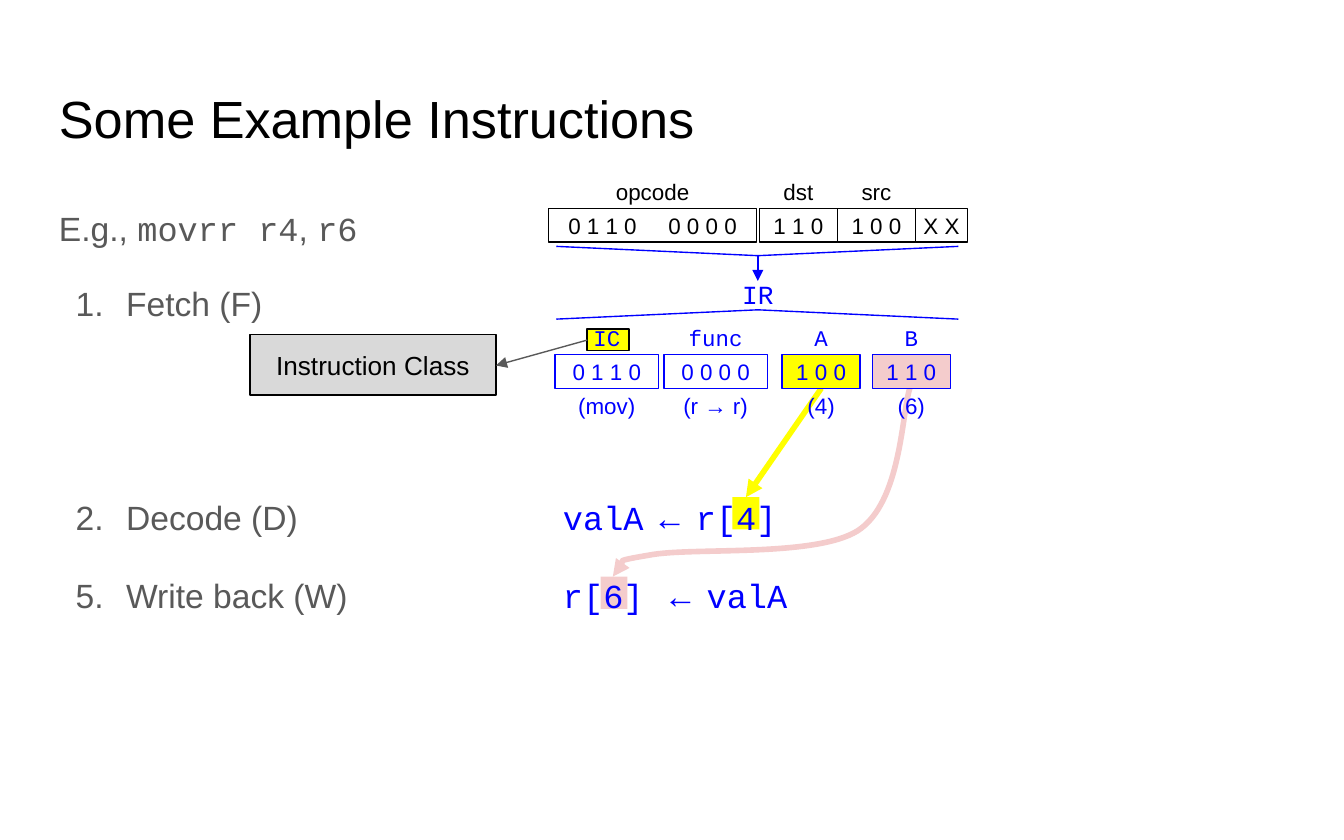
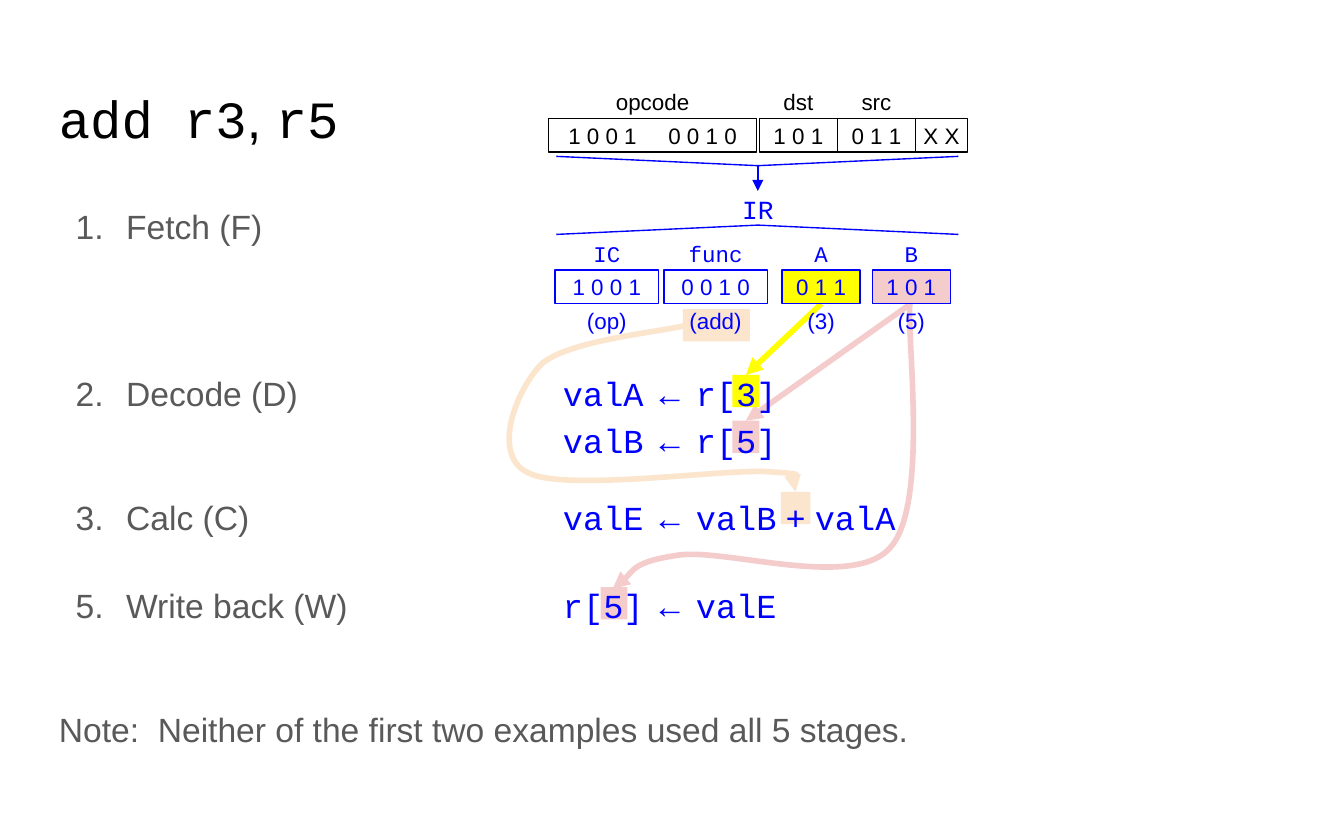
from lxml import etree
from pptx import Presentation
from pptx.dml.color import RGBColor
from pptx.enum.shapes import MSO_CONNECTOR, MSO_SHAPE
from pptx.enum.text import MSO_ANCHOR, PP_ALIGN
from pptx.oxml.ns import qn
from pptx.util import Pt

RECT = MSO_SHAPE.RECTANGLE
STRAIGHT = MSO_CONNECTOR.STRAIGHT
CENTER, LEFT = PP_ALIGN.CENTER, PP_ALIGN.LEFT
MIDDLE, TOP = MSO_ANCHOR.MIDDLE, MSO_ANCHOR.TOP
rgb = RGBColor.from_string

BLACK, GRAY, BLUE = "000000", "595959", "0000FF"
YELLOW, PINK, PEACH, SILVER = "FFFF00", "F4CCCC", "FCE5CD", "D9D9D9"
SANS, MONO = "Arial", "Courier New"

CELL_H = 18
BODY_H = 45.4
MARK_H = 17.3
LEFT_X, LEFT_W = 24.5, 671
RIGHT_X, RIGHT_W = 294.5, 365.8
CENTER_X = 406
TITLE = dict(size=28, color=BLACK, align=LEFT, anchor=TOP, inset=7.2)
BODY = dict(size=18, color=GRAY, align=LEFT, anchor=TOP, inset=7.2, spacing=1.15, after=16)
CODE = {**BODY, "color": BLUE}


def box(s, x, y, w, h, text="", fill=None, line=None, size=12, color=BLUE, align=CENTER,
        anchor=MIDDLE, inset=0, spacing=None, after=None, number=None):
    """Add a rectangle or text box; parts of text between backticks are monospaced."""
    frame = [Pt(v) for v in (x, y, w, h)]
    if fill or line:
        sp = s.shapes.add_shape(RECT, *frame)
        sp.shadow.inherit = False
        if fill:
            sp.fill.solid()
            sp.fill.fore_color.rgb = rgb(fill)
        else:
            sp.fill.background()
        if line:
            sp.line.color.rgb = rgb(line)
            sp.line.width = Pt(0.75)
        else:
            sp.line.fill.background()
    else:
        sp = s.shapes.add_textbox(*frame)
    if not text:
        return
    tf = sp.text_frame
    tf.word_wrap = True
    tf.vertical_anchor = anchor
    for side in ("left", "right", "top", "bottom"):
        setattr(tf, f"margin_{side}", Pt(inset))
    p = tf.paragraphs[0]
    p.alignment = align
    if spacing:
        p.line_spacing = spacing
        p.space_after = Pt(after)
    if number:
        pPr = p._p.get_or_add_pPr()
        pPr.set("marL", str(Pt(36)))
        pPr.set("indent", str(-Pt(27)))
        clr = etree.SubElement(pPr, qn("a:buClr"))
        etree.SubElement(clr, qn("a:srgbClr"), val=color)
        etree.SubElement(pPr, qn("a:buAutoNum"), type="arabicPeriod", startAt=str(number))
    for i, part in enumerate(text.split("`")):
        if part:
            r = p.add_run()
            r.text = part
            for name, value in dict(name=MONO if i % 2 else SANS, size=Pt(size)).items():
                setattr(r.font, name, value)
            r.font.color.rgb = rgb(color)


def stroke(s, points, color, width=0.75, arrow=True):
    """Two points make a connector, three a polyline, more a chain of Bezier curves."""
    pts = [(Pt(x), Pt(y)) for x, y in points]
    if len(pts) == 2:
        sp = s.shapes.add_connector(STRAIGHT, *pts[0], *pts[1])
        etree.SubElement(sp._element.spPr, qn("a:effectLst"))
    else:
        fb = s.shapes.build_freeform(*pts[0])
        fb.add_line_segments(pts[1:], close=False)
        sp = fb.convert_to_shape()
        sp.shadow.inherit = False
        sp.fill.background()
    if len(pts) > 3:
        segments = list(sp._element.iter(qn("a:lnTo")))
        outline = segments[0].getparent()
        for i in range(0, len(segments), 3):
            curve = etree.SubElement(outline, qn("a:cubicBezTo"))
            for seg in segments[i:i + 3]:
                curve.append(seg[0])
                outline.remove(seg)
    sp.line.color.rgb = rgb(color)
    sp.line.width = Pt(width)
    if arrow:
        etree.SubElement(sp.line._get_or_add_ln(), qn("a:tailEnd"), type="triangle")


slides = [
    dict(
        title="Some Example Instructions",
        word_y=111.6, nibbles=("0110", "0000"), dst="110", src="100",
        field_y=190, notes=("(mov)", "(r → r)", "(4)", "(6)"),
        paragraphs=[("E.g., `movrr r4`, `r6`", 100.8)],
        steps=[(1, "Fetch (F)", 141.1), (2, "Decode (D)", 255.6), (5, "Write back (W)", 297.4)],
        code=[("`valA` ← `r[4]`", 255.6), ("`r[6] `← `valA`", 297.4)],
        arrows=[
            (PINK, [(487.4, 208), (483, 221), (483, 269.3), (459.4, 284.4), (436.3, 298.8),
                    (370, 293), (347.8, 297.4), (326.2, 301), (331.2, 307.4), (328.3, 308.9)]),
            (YELLOW, [(440, 208), (399.6, 266.4)]),
        ],
        marks=[(YELLOW, 392.4, 266.4, 14.4), (PINK, 321.8, 308.9, 14.4)],
    ),
    dict(
        title="`add r3`, `r5`",
        word_y=63.4, nibbles=("1001", "0010"), dst="101", src="011",
        field_y=144.6, notes=("(op)", "(add)", "(3)", "(5)"),
        paragraphs=[("Note:  Neither of the first two examples used all 5 stages.", 369.4)],
        steps=[(1, "Fetch (F)", 100), (2, "Decode (D)", 189.4), (3, "Calc (C)", 255.6),
               (5, "Write back (W)", 303.1)],
        code=[("`valA` ← `r[3]`", 189.4), ("`valB` ← `r[5]`", 214.6),
              ("`valE` ← `valB` + `valA`", 255.6), ("`r[5]` ← `valE`", 303.1)],
        arrows=[
            (PINK, [(488, 162.7), (399.6, 225.4)]),
            (PEACH, [(368, 174.2), (355, 177.8), (304.6, 182.2), (290.2, 195), (276.5, 208.8),
                     (262.8, 244), (283, 253.4), (303, 263.5), (387.4, 251.3), (411, 252.7),
                     (435, 254.2), (423.4, 261.4), (426.2, 263.5)]),
            (PINK, [(487.4, 162.7), (486, 184.3), (497.5, 271.4), (476.6, 293.8), (456.5, 316),
                    (388.8, 293.8), (363.6, 297.4), (339, 301), (334, 312.5), (328.3, 315.4)]),
            (YELLOW, [(440, 162.7), (399.6, 200.9)]),
        ],
        marks=[(YELLOW, 392.4, 200.9, 14.4), (PINK, 392.4, 225.4, 14.4),
               (PEACH, 365.8, 165.6, 36), (PEACH, 418.3, 263.5, 15.8),
               (PINK, 321.8, 314.6, 14.4)],
    ),
]

prs = Presentation()
prs.slide_width, prs.slide_height = Pt(720), Pt(450)

for d in slides:
    s = prs.slides.add_slide(prs.slide_layouts[6])
    word_y, field_y = d["word_y"], d["field_y"]

    for color, points in d["arrows"]:
        stroke(s, points, color, width=3)
    for color, x, y, w in d["marks"]:
        box(s, x, y, w, MARK_H, fill=color)
    if d is slides[0]:
        box(s, 314.6, 176.2, 22.5, 11.6, fill=YELLOW, line=BLACK)
        box(s, 133.9, 179.3, 131.8, 32.4, "Instruction Class", fill=SILVER, line=BLACK,
            size=14, color=BLACK)
        stroke(s, [(314.6, 182.2), (265.7, 195.8)], GRAY)

    # Instruction word in memory
    for label, bits, x, w in [("opcode", "", 293.8, 111.6), ("dst", d["dst"], 406.8, 41.8),
                              ("src", d["src"], 448.6, 41.8), ("", "XX", 490.4, 28)]:
        if label:
            box(s, x, word_y - CELL_H, w, CELL_H, label, color=BLACK)
        box(s, x, word_y, w, CELL_H, " ".join(bits), line=BLACK, color=BLACK)
    for i, bits in enumerate(d["nibbles"]):
        box(s, 296 + i * 53.6, word_y, 53.6, CELL_H, " ".join(bits), color=BLACK)

    # Brackets down to the instruction register and its fields
    for tip_y, end_y in [(word_y + 25.4, word_y + 20.4), (field_y - 24, field_y - 19)]:
        stroke(s, [(298, end_y), (CENTER_X, tip_y), (513.4, end_y)], BLUE, arrow=False)
    stroke(s, [(CENTER_X, word_y + 25.7), (CENTER_X, word_y + 38.9)], BLUE)
    box(s, 388, field_y - 48.2, 36, 28, "`IR`", size=14, anchor=TOP, inset=7.2)

    fields = [("IC", d["nibbles"][0], 297.4, 55.4, None),
              ("func", d["nibbles"][1], 355.7, 55.4, None),
              ("A", d["src"], 419, 41.8, YELLOW),
              ("B", d["dst"], 467.3, 41.8, PINK)]
    for (label, bits, x, w, fill), note in zip(fields, d["notes"]):
        box(s, x, field_y - CELL_H, w, CELL_H, f"`{label}`")
        box(s, x, field_y, w, CELL_H, " ".join(bits), fill=fill, line=BLUE)
        box(s, x, field_y + CELL_H, w, CELL_H, note)

    box(s, LEFT_X, 38.9, LEFT_W, 50.4, d["title"], **TITLE)
    for text, y in d["paragraphs"]:
        box(s, LEFT_X, y, LEFT_W, BODY_H, text, **BODY)
    for number, text, y in d["steps"]:
        box(s, LEFT_X, y, LEFT_W, BODY_H, text, number=number, **BODY)
    for text, y in d["code"]:
        box(s, RIGHT_X, y, RIGHT_W, BODY_H, text, **CODE)

prs.save("out.pptx")
